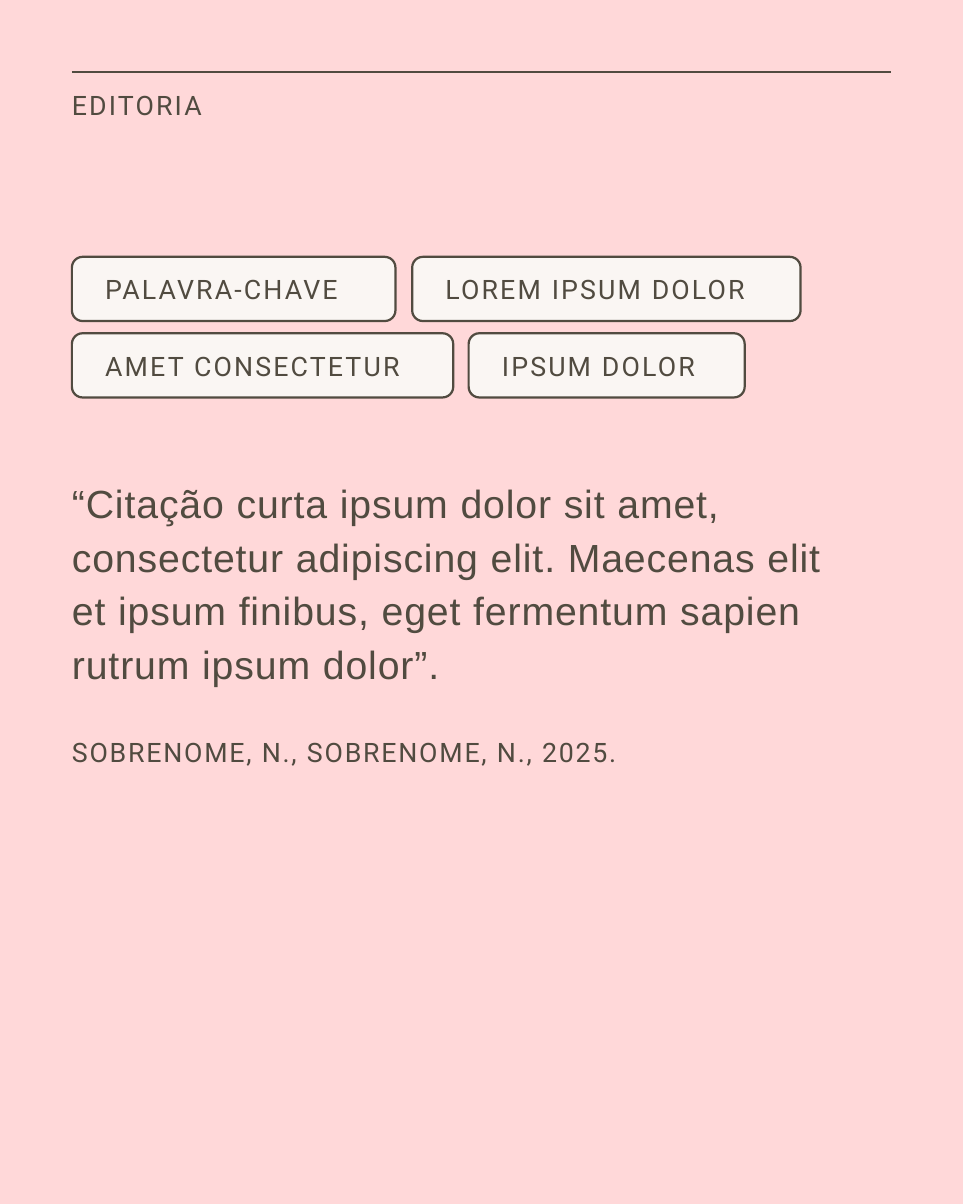
from pptx import Presentation
from pptx.dml.color import RGBColor
from pptx.enum.shapes import MSO_CONNECTOR, MSO_SHAPE
from pptx.enum.text import MSO_ANCHOR, MSO_AUTO_SIZE, PP_ALIGN
from pptx.oxml.ns import qn
from pptx.util import Inches, Pt
from lxml import etree

COLORS = {"background": "FFD8D9", "ink": "514B40", "chip": "FAF6F3"}
LEFT, WIDTH = 1.12, 12.76
CHIP_HEIGHT, CHIP_PITCH = 1, 1.19

# Each row holds (keyword, left offset, width)
KEYWORD_ROWS = [
    [("PALAVRA-CHAVE", 0, 5.04), ("LOREM IPSUM DOLOR", 5.3, 6.05)],
    [("AMET CONSECTETUR", 0, 5.94), ("IPSUM DOLOR", 6.18, 4.3)],
]
QUOTE = ("“Citação curta ipsum dolor sit amet, consectetur adipiscing elit. "
         "Maecenas elit et ipsum finibus, eget fermentum sapien rutrum ipsum dolor”.")
SOURCE = "SOBRENOME, N., SOBRENOME, N., 2025."


def color(name):
    return RGBColor.from_string(COLORS[name])


def style_line(line):
    line.color.rgb = color("ink")
    line.width = Pt(2.5)


def set_frame(frame, left=0, top=0, right=0, bottom=0, wrap=True):
    frame.margin_left, frame.margin_top = Inches(left), Inches(top)
    frame.margin_right, frame.margin_bottom = Inches(right), Inches(bottom)
    frame.word_wrap = wrap
    frame.auto_size = MSO_AUTO_SIZE.SHAPE_TO_FIT_TEXT


def write(paragraph, text, size=30, name="Roboto", tracking=2.4):
    run = paragraph.add_run()
    run.text = text
    # Letter spacing is in hundredths of a point
    run._r.get_or_add_rPr().set("spc", str(round(tracking * 100)))
    paragraph.alignment = PP_ALIGN.LEFT
    paragraph.font.size = Pt(size)
    paragraph.font.name = name
    paragraph.font.color.rgb = color("ink")


def add_header(slide, left, top, width):
    # Rule
    rule = slide.shapes.add_connector(
        MSO_CONNECTOR.STRAIGHT, Inches(left), Inches(top),
        Inches(left + width), Inches(top))
    style_line(rule.line)
    etree.SubElement(rule._element.spPr, qn("a:effectLst"))
    # Section name
    box = slide.shapes.add_textbox(
        Inches(left), Inches(top + 0.26), Inches(width), Inches(0.51))
    set_frame(box.text_frame)
    write(box.text_frame.paragraphs[0], "EDITORIA")


def add_chip(slide, text, left, top, width):
    chip = slide.shapes.add_shape(
        MSO_SHAPE.ROUNDED_RECTANGLE, Inches(left), Inches(top),
        Inches(width), Inches(CHIP_HEIGHT))
    chip.shadow.inherit = False
    chip.fill.solid()
    chip.fill.fore_color.rgb = color("chip")
    style_line(chip.line)
    frame = chip.text_frame
    set_frame(frame, 0.47, 0.2, 0.47, 0.2, wrap=False)
    frame.vertical_anchor = MSO_ANCHOR.MIDDLE
    write(frame.paragraphs[0], text)


def add_keywords(slide, left, top):
    for row, chips in enumerate(KEYWORD_ROWS):
        for text, offset, width in chips:
            add_chip(slide, text, left + offset, top + row * CHIP_PITCH, width)


def add_quote(slide, left, top, width, height):
    box = slide.shapes.add_textbox(
        Inches(left), Inches(top), Inches(width), Inches(height))
    frame = box.text_frame
    set_frame(frame, top=1.18, right=0.59)
    quote = frame.paragraphs[0]
    quote.line_spacing = Pt(60)
    write(quote, QUOTE, 44, "Arial", 1)
    source = frame.add_paragraph()
    source.line_spacing = source.space_before = Pt(45)
    write(source, SOURCE, tracking=2)


def main():
    presentation = Presentation()
    presentation.slide_width = Inches(15)
    presentation.slide_height = Inches(18.75)
    slide = presentation.slides.add_slide(presentation.slide_layouts[6])
    slide.background.fill.solid()
    slide.background.fill.fore_color.rgb = color("background")

    add_header(slide, LEFT, 1.12, WIDTH)
    add_quote(slide, LEFT, 6.19, WIDTH, 6.79)
    add_keywords(slide, LEFT, 4)
    presentation.save("out.pptx")


if __name__ == "__main__":
    main()
